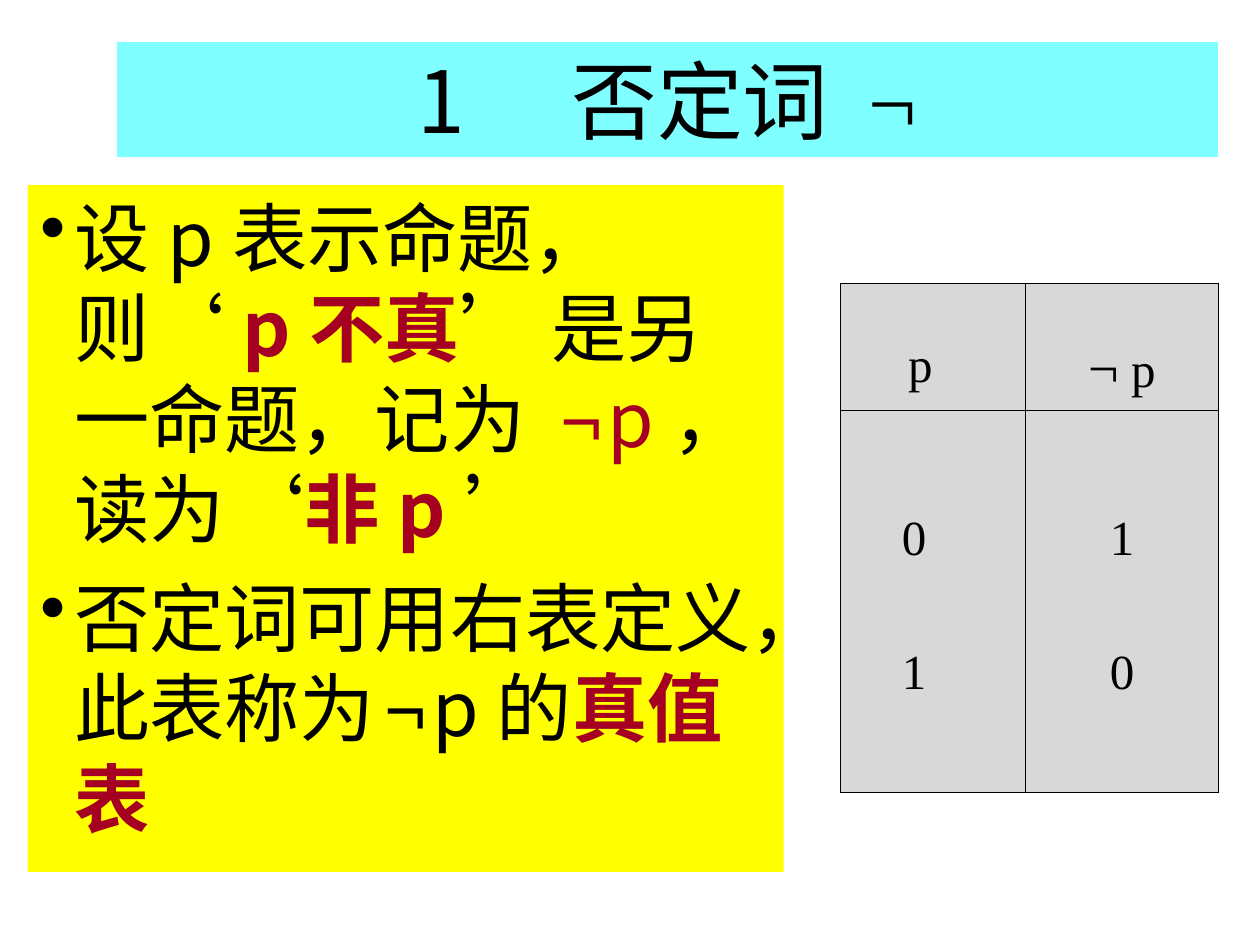
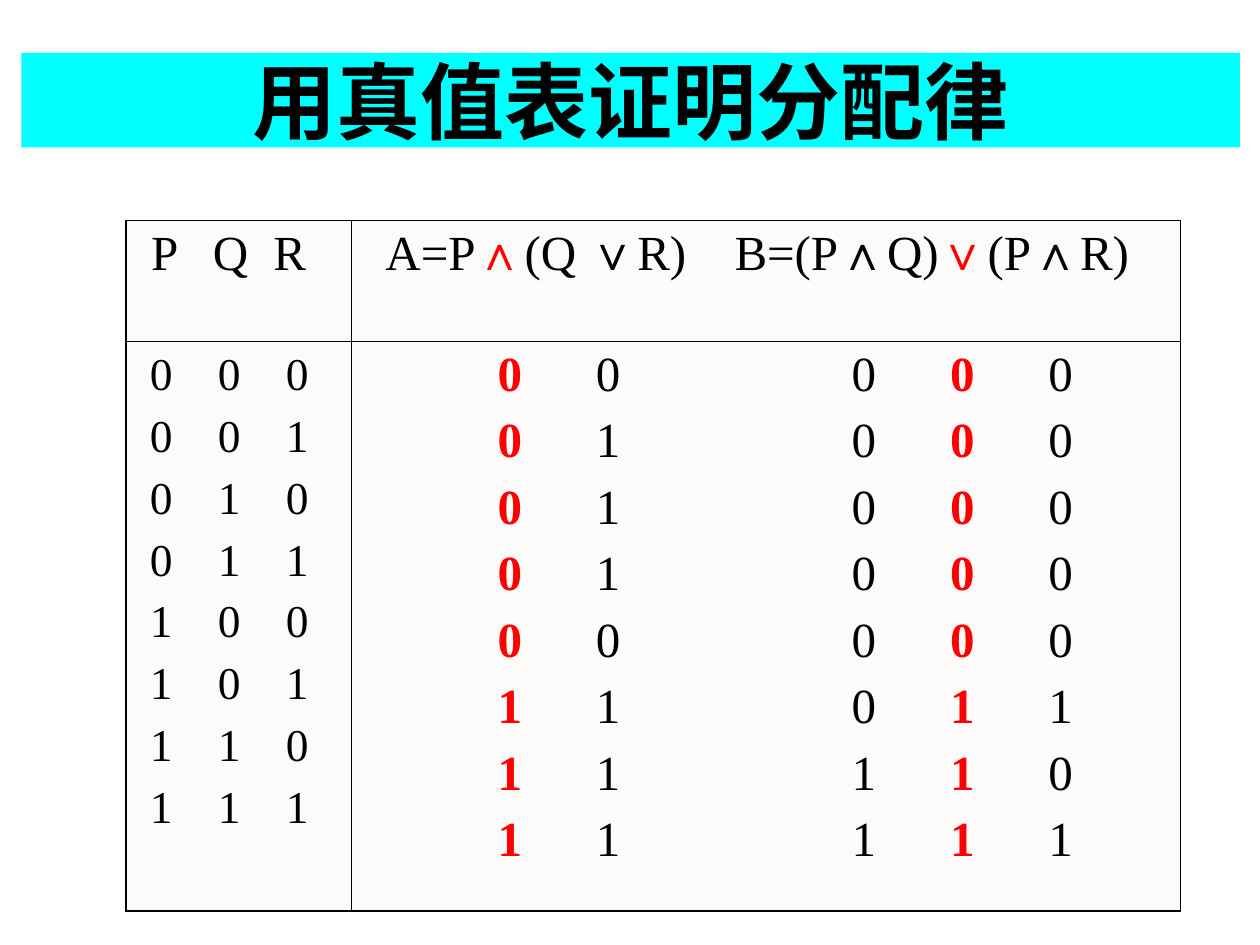
from dataclasses import dataclass

from lxml import etree
from pptx import Presentation
from pptx.dml.color import RGBColor
from pptx.enum.text import MSO_ANCHOR, MSO_AUTO_SIZE, PP_ALIGN
from pptx.oxml.ns import qn
from pptx.util import Pt

EMU_PER_PX = 9144  # 100 px to the inch
LEFT, CENTER = PP_ALIGN.LEFT, PP_ALIGN.CENTER
TOP, MIDDLE = MSO_ANCHOR.TOP, MSO_ANCHOR.MIDDLE
NO_AUTOFIT = MSO_AUTO_SIZE.NONE
TITLE_ONLY = 5


@dataclass(frozen=True)
class Theme:
    sans: str = "Noto Sans CJK SC"
    serif: str = "Times New Roman"
    black: str = "000000"
    white: str = "FFFFFF"
    cyan: str = "00FFFF"
    yellow: str = "FFFF00"
    crimson: str = "A50021"
    red: str = "FF0000"
    grey: str = "B2B2B2"
    cream: str = "FDFBF9"
    title: int = 48
    large_title: int = 49
    body: int = 43
    thin_gap: int = 12
    negation: int = 31
    table: int = 28
    inputs: int = 26
    outer_line: float = 1.08
    inner_line: float = 0.45
    title_line: float = 0.75


THEME = Theme()


@dataclass(frozen=True)
class Span:
    text: str
    size: int = THEME.table
    font: str = THEME.serif
    colour: str = THEME.black
    bold: bool = False


@dataclass(frozen=True)
class Cell:
    """Paragraphs of spans, with the layout of the table cell around them."""
    paras: list
    align: int = LEFT
    gap: float = 0
    tabs: tuple = ()
    left: int = 10
    top: int = 5
    right: int = 10


def px(length):
    return length * EMU_PER_PX


def add_element(parent, tag, **attributes):
    return etree.SubElement(parent, qn(tag), {k: str(v) for k, v in attributes.items()})


class Deck:
    def __init__(self, theme):
        self.theme = theme
        self.deck = Presentation()
        self.deck.slide_width, self.deck.slide_height = px(1000), px(750)
        self.page = None

    def new_page(self):
        layout = self.deck.slide_layouts[TITLE_ONLY]
        self.page = self.deck.slides.add_slide(layout)

    def paint(self, owner, properties, colour, opacity):
        """Fill a shape or cell whose properties element is given."""
        owner.fill.solid()
        owner.fill.fore_color.rgb = RGBColor.from_string(colour)
        if opacity < 100:
            tint = properties.find(qn("a:solidFill")).find(qn("a:srgbClr"))
            add_element(tint, "a:alpha", val=opacity * 1000)

    def add_paras(self, frame, paras, align=LEFT, gap=0, tabs=(), bullet=None):
        for index, spans in enumerate(paras):
            para = frame.add_paragraph() if index else frame.paragraphs[0]
            para.alignment = align
            if index:
                para.space_before = Pt(gap)
            properties = para._p.get_or_add_pPr()
            if bullet:
                properties.set("marL", str(px(27)))
                properties.set("indent", str(px(-27)))
                tint = add_element(properties, "a:buClr")
                add_element(tint, "a:srgbClr", val=self.theme.black)
                add_element(properties, "a:buChar", char=bullet)
            if tabs:
                stops = add_element(properties, "a:tabLst")
                for stop in tabs:
                    add_element(stops, "a:tab", pos=px(stop), algn="l")
            for span in spans:
                self.add_span(para, span)

    def add_span(self, para, span):
        run = para.add_run()
        run.text = span.text
        run.font.size = Pt(span.size)
        run.font.name = span.font
        run.font.bold = span.bold
        run.font.color.rgb = RGBColor.from_string(span.colour)
        add_element(run._r.get_or_add_rPr(), "a:ea", typeface=self.theme.sans)

    def text_frame(self, shape, colour, anchor, opacity=100):
        """Fill the shape and give back its text frame, ready for paragraphs."""
        self.paint(shape, shape._element.spPr, colour, opacity)
        frame = shape.text_frame
        frame.word_wrap = True
        frame.auto_size = NO_AUTOFIT
        frame.vertical_anchor = anchor
        return frame

    def title(self, left, top, width, height, spans, opacity=100, outline=None):
        shape = self.page.shapes.title
        shape.left, shape.top = px(left), px(top)
        shape.width, shape.height = px(width), px(height)
        frame = self.text_frame(shape, self.theme.cyan, MIDDLE, opacity)
        if outline:
            shape.line.color.rgb = RGBColor.from_string(outline)
            shape.line.width = Pt(self.theme.title_line)
        self.add_paras(frame, [spans], CENTER)

    def bullets(self, left, top, width, height, paras):
        box = self.page.shapes.add_textbox(px(left), px(top), px(width), px(height))
        frame = self.text_frame(box, self.theme.yellow, TOP)
        self.add_paras(frame, paras, gap=10.7, bullet="•")

    def table(self, left, top, widths, heights, cells, colour, opacity=100):
        frame = self.page.shapes.add_table(
            len(heights), len(widths), px(left), px(top),
            px(sum(widths)), px(sum(heights)))
        table = frame.table
        table.first_row = table.horz_banding = False
        for column, width in zip(table.columns, widths):
            column.width = px(width)
        for row, height in zip(table.rows, heights):
            row.height = px(height)
        for r, row_cells in enumerate(cells):
            for c, content in enumerate(row_cells):
                cell = table.cell(r, c)
                cell.margin_left, cell.margin_right = px(content.left), px(content.right)
                cell.margin_top, cell.margin_bottom = px(content.top), px(5)
                properties = cell._tc.get_or_add_tcPr()
                self.borders(properties, {
                    "L": c == 0, "R": c == len(widths) - 1,
                    "T": r == 0, "B": r == len(heights) - 1})
                self.paint(cell, properties, colour, opacity)
                self.add_paras(cell.text_frame, content.paras, content.align,
                               content.gap, content.tabs)

    def borders(self, properties, outer_sides):
        for side, is_outer in outer_sides.items():
            width = self.theme.outer_line if is_outer else self.theme.inner_line
            line = add_element(properties, "a:ln" + side, w=int(Pt(width)))
            fill = add_element(line, "a:solidFill")
            add_element(fill, "a:srgbClr", val=self.theme.black)


def body(text, **style):
    return Span(text, **{"size": THEME.body, "font": THEME.sans, **style})


def negation_page(deck):
    deck.new_page()
    deck.title(92, 33, 875, 92, [
        Span("1　否定词 ", THEME.large_title, THEME.sans),
        Span("¬", THEME.large_title)], opacity=50, outline=THEME.white)

    strong = {"colour": THEME.crimson, "bold": True}
    serif = {"font": THEME.serif}
    gap = body(" ", size=THEME.thin_gap)
    deck.bullets(22, 147, 600, 545, [
        [body("设p表示命题，则"), body("‘", **serif), body("p不真", **strong),
         body("’", **serif), body(" 是另一命题，记为 "),
         body("¬", **serif, **strong), gap, body("p", colour=THEME.crimson),
         body("，读为"), gap, body("‘", **serif), body("非p", **strong),
         body("’", **serif)],
        [body("否定词可用右表定义，此表称为"), gap, body("¬", bold=True, **serif),
         gap, body("p的"), body("真值表", **strong)]])

    head = {"align": CENTER, "top": 44}
    values = {"align": CENTER, "top": 80, "gap": 45.5}
    deck.table(667, 225, [147, 153], [101, 303], [
        [Cell([[Span("p")]], right=30, **head),
         Cell([[Span("¬", THEME.negation), Span(" p")]], **head)],
        [Cell([[Span("0")], [Span("1")]], right=40, **values),
         Cell([[Span("1")], [Span("0")]], **values)]], THEME.grey, opacity=50)


def distributive_page(deck):
    deck.new_page()
    deck.title(17, 42, 967, 75, [
        Span("用真值表证明", THEME.title, bold=True),
        Span("分配律", THEME.title, THEME.sans, bold=True)])

    inputs, results = [], []
    for case in range(8):
        p, q, r = case >> 2, case >> 1 & 1, case & 1
        inputs.append([Span(f"{p}\t{q}\t{r}", THEME.inputs)])
        left_result = p & (q | r)
        right_result = p & q | p & r
        results.append([
            Span(f"{left_result}", colour=THEME.red, bold=True),
            Span(f"\t{q | r}\t{p & q}\t"),
            Span(f"{right_result}", colour=THEME.red, bold=True),
            Span(f"\t{p & r}")])
    formulas = [
        Span("A=P"), Span("∧", colour=THEME.red), Span("(Q ∨R)\tB=(P∧Q)"),
        Span("∨", colour=THEME.red), Span("(P∧R)")]
    deck.table(100, 175, [179, 658], [96, 452], [
        [Cell([[Span("P\tQ\tR")]], left=20, tabs=(49, 97)),
         Cell([formulas], left=27, tabs=(277,))],
        [Cell(inputs, left=19, top=7, gap=6.5, tabs=(54, 108)),
         Cell(results, left=116, gap=7, tabs=(78, 281, 359, 437))]], THEME.cream)


def main():
    deck = Deck(THEME)
    negation_page(deck)
    distributive_page(deck)
    deck.deck.save("out.pptx")


if __name__ == "__main__":
    main()
